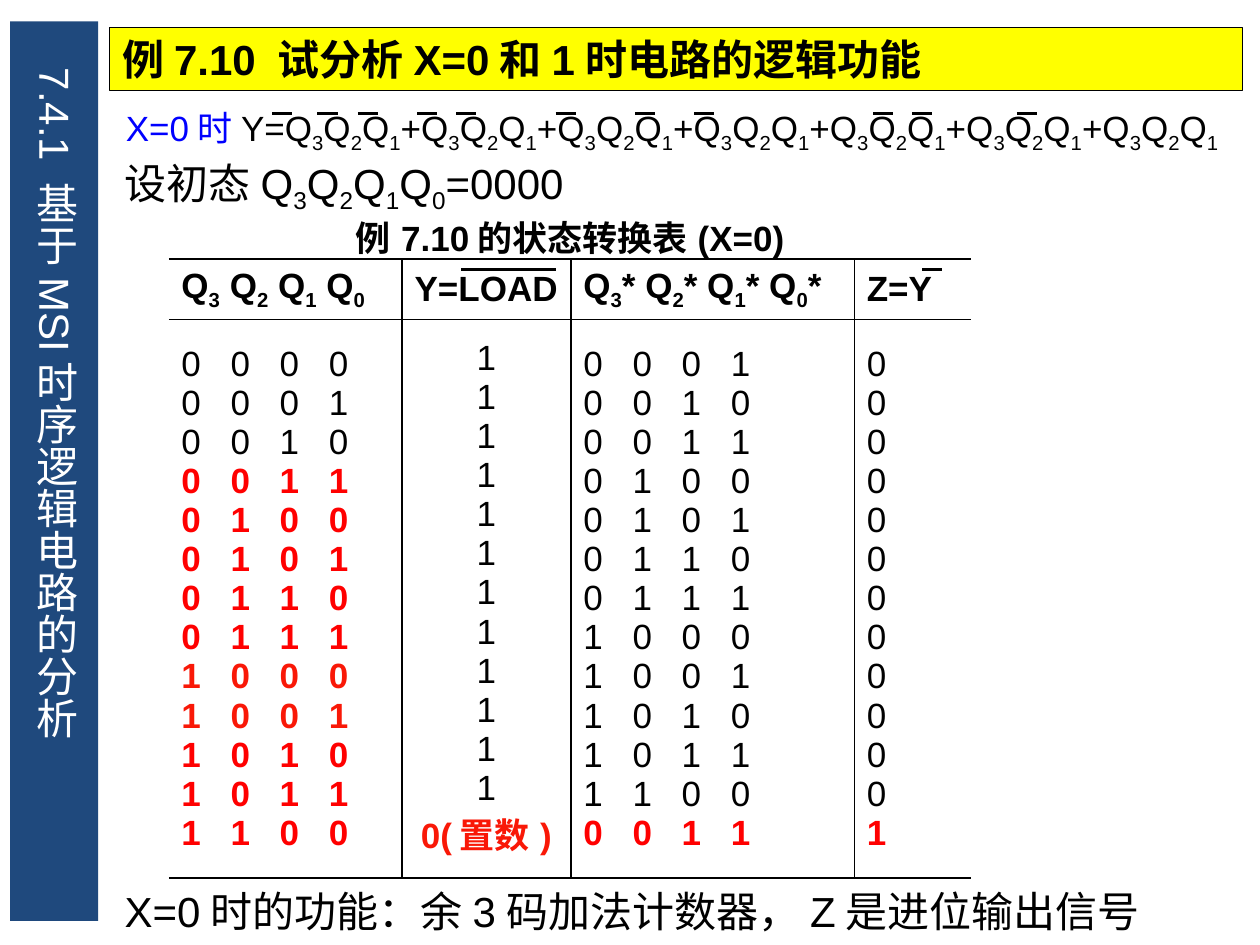
from lxml import etree
from pptx import Presentation
from pptx import util as u
from pptx.dml.color import RGBColor
from pptx.enum import shapes, text
from pptx.oxml import ns

BLACK = RGBColor(0, 0, 0)
WHITE = RGBColor(255, 255, 255)
NAVY = RGBColor(0x1F, 0x49, 0x7D)
YELLOW = RGBColor(255, 255, 0)
BLUE = RGBColor(0, 0, 255)
RED = RGBColor(255, 0, 0)
SCARLET = RGBColor(0xF9, 0x18, 0x07)
LATIN, HAN = "Arial", "Noto Sans CJK SC"
TAB = 0.39


def add_text(p, content, size=24, color=BLACK, bold=False):
    """Add text to a paragraph; an underscore makes the next character a subscript."""
    head, *subs = content.split("_")
    pieces = [(head, False)]
    for part in subs:
        pieces += [(part[0], True), (part[1:], False)]
    for piece, lowered in pieces:
        if not piece:
            continue
        r = p.add_run()
        r.text = piece
        r.font.size, r.font.bold, r.font.name = u.Pt(size), bold, LATIN
        r.font.color.rgb = color
        rPr = r._r.get_or_add_rPr()
        etree.SubElement(rPr, ns.qn("a:ea")).set("typeface", HAN)
        if lowered:
            rPr.set("baseline", "-25000")


class SlideBuilder:
    """Holds the current slide and draws each kind of element on it."""

    def __init__(self, slide):
        self.s = slide

    def rect(self, x, y, w, h, fill, line=None):
        sp = self.s.shapes.add_shape(shapes.MSO_SHAPE.RECTANGLE, u.Inches(x), u.Inches(y),
                                     u.Inches(w), u.Inches(h))
        sp.shadow.inherit = False
        sp.fill.solid()
        sp.fill.fore_color.rgb = fill
        if line is None:
            sp.line.fill.background()
        else:
            sp.line.color.rgb, sp.line.width = line, u.Pt(0.75)
        return sp

    def label(self, sp, *parts):
        tf = sp.text_frame
        tf.word_wrap = True
        tf.auto_size = text.MSO_AUTO_SIZE.SHAPE_TO_FIT_TEXT
        p = tf.paragraphs[0]
        p.alignment = text.PP_ALIGN.LEFT
        pPr = p._p.get_or_add_pPr()
        pPr.set("marL", str(u.Inches(0.38)))
        pPr.set("indent", str(u.Inches(-0.38)))
        for content, style in parts:
            add_text(p, content, **style)

    def box(self, x, y, w, h):
        return self.s.shapes.add_textbox(u.Inches(x), u.Inches(y), u.Inches(w), u.Inches(h))

    def vertical_title(self, x, y, w, h, content):
        tf = self.box(x, y, w, h).text_frame
        tf.word_wrap = True
        tf.vertical_anchor = text.MSO_ANCHOR.MIDDLE
        tf._txBody.bodyPr.set("vert", "eaVert")
        add_text(tf.paragraphs[0], content, color=WHITE)

    def overbar(self, x, y, w, width=1.5):
        ln = self.s.shapes.add_connector(shapes.MSO_CONNECTOR.STRAIGHT, u.Inches(x), u.Inches(y),
                                         u.Inches(x + w), u.Inches(y))
        ln.line.color.rgb, ln.line.width = BLACK, u.Pt(width)
        etree.SubElement(ln._element.spPr, ns.qn("a:effectLst"))

    def table(self, x, y, widths, heights):
        tbl = self.s.shapes.add_table(len(heights), len(widths), u.Inches(x), u.Inches(y),
                                      u.Inches(sum(widths)), u.Inches(sum(heights))).table
        tbl.first_row = tbl.horz_banding = False
        for col, w in zip(tbl.columns, widths):
            col.width = u.Inches(w)
        for row, h in zip(tbl.rows, heights):
            row.height = u.Inches(h)
        last = len(widths) - 1
        for i in range(len(heights)):
            for j in range(len(widths)):
                edges = {"L": i > 0 and j > 0, "R": i > 0 and j < last, "T": i > 0, "B": True}
                self.style_cell(tbl.cell(i, j), edges)
        return tbl

    def style_cell(self, cell, edges):
        cell.vertical_anchor = text.MSO_ANCHOR.MIDDLE
        cell.fill.background()
        tcPr = cell._tc.get_or_add_tcPr()
        for k, (side, drawn) in enumerate(edges.items()):
            ln = etree.Element(ns.qn("a:ln" + side), w=str(u.Pt(1)))
            if drawn:
                fill = etree.SubElement(ln, ns.qn("a:solidFill"))
                etree.SubElement(fill, ns.qn("a:srgbClr")).set("val", str(BLACK))
            else:
                etree.SubElement(ln, ns.qn("a:noFill"))
            tcPr.insert(k, ln)

    def cell_lines(self, cell, lines, colors, align=text.PP_ALIGN.LEFT):
        tf = cell.text_frame
        for k, (content, color) in enumerate(zip(lines, colors)):
            p = tf.add_paragraph() if k else tf.paragraphs[0]
            p.alignment = align
            if "\t" in content:
                tabs = etree.SubElement(p._p.get_or_add_pPr(), ns.qn("a:tabLst"))
                for n in range(1, 4):
                    etree.SubElement(tabs, ns.qn("a:tab"), pos=str(u.Inches(n * TAB)), algn="l")
            add_text(p, content, size=20, color=color, bold=color != BLACK)


def bits(n):
    """Return a four-bit state with its digits set apart by tabs."""
    return "\t".join(f"{n:04b}")


def main():
    prs = Presentation()
    prs.slide_width, prs.slide_height = u.Inches(10), u.Inches(7.5)
    b = SlideBuilder(prs.slides.add_slide(prs.slide_layouts[6]))

    b.rect(0.08, 0.17, 0.7, 7.14, NAVY)
    b.vertical_title(0.12, 0.44, 0.65, 6.72, "7.4.1 基于MSI时序逻辑电路的分析")
    b.label(b.rect(0.87, 0.22, 8.99, 0.5, YELLOW, BLACK),
            ("例7.10 试分析X=0和1时电路的逻辑功能", {"bold": True}))

    tbl = b.table(1.34, 1.62, [1.85, 1.34, 2.25, 0.93], [0.43, 0.48, 4.43])
    tbl.cell(0, 0).merge(tbl.cell(0, 3))
    center = text.PP_ALIGN.CENTER
    caption = tbl.cell(0, 0).text_frame.paragraphs[0]
    caption.alignment = center
    add_text(caption, "例7.10的状态转换表(X=0)", size=20, bold=True)
    headers = ["Q_3 Q_2 Q_1 Q_0", "Y=LOAD", "Q_3* Q_2* Q_1* Q_0*", "Z=Y"]
    for j, header in enumerate(headers):
        add_text(tbl.cell(1, j).text_frame.paragraphs[0], header, size=20, bold=True)

    states = range(13)
    present = [BLACK] * 3 + [RED] * 5 + [SCARLET] * 2 + [RED] * 3
    following = [bits(n + 1) for n in states[:-1]] + [bits(3)]
    b.cell_lines(tbl.cell(2, 0), [bits(n) for n in states], present)
    b.cell_lines(tbl.cell(2, 1), ["1"] * 12 + ["0(置数)"], [BLACK] * 12 + [SCARLET], center)
    b.cell_lines(tbl.cell(2, 2), following, [BLACK] * 12 + [RED])
    b.cell_lines(tbl.cell(2, 3), ["0"] * 12 + ["1"], [BLACK] * 12 + [RED])

    b.label(b.box(0.89, 1.2, 9.11, 0.5), ("设初态Q_3Q_2Q_1Q_0=0000", {}))
    b.label(b.box(0.89, 6.98, 9.11, 0.5), ("X=0时的功能：余3码加法计数器，Z是进位输出信号", {}))
    b.label(b.box(0.9, 0.8, 9.21, 0.43), ("X=0时", {"size": 20, "color": BLUE}),
            ("Y=" + "+".join(["Q_3Q_2Q_1"] * 7), {"size": 20}))

    for x in (2.16, 2.52, 2.84, 3.31, 3.62, 4.41, 5.04, 5.51, 6.93, 7.24, 8.07):
        b.overbar(x, 0.9, 0.16)
    for x, w in ((3.66, 0.75), (7.32, 0.16)):
        b.overbar(x, 2.14, w, width=2)

    prs.save("out.pptx")


if __name__ == "__main__":
    main()
